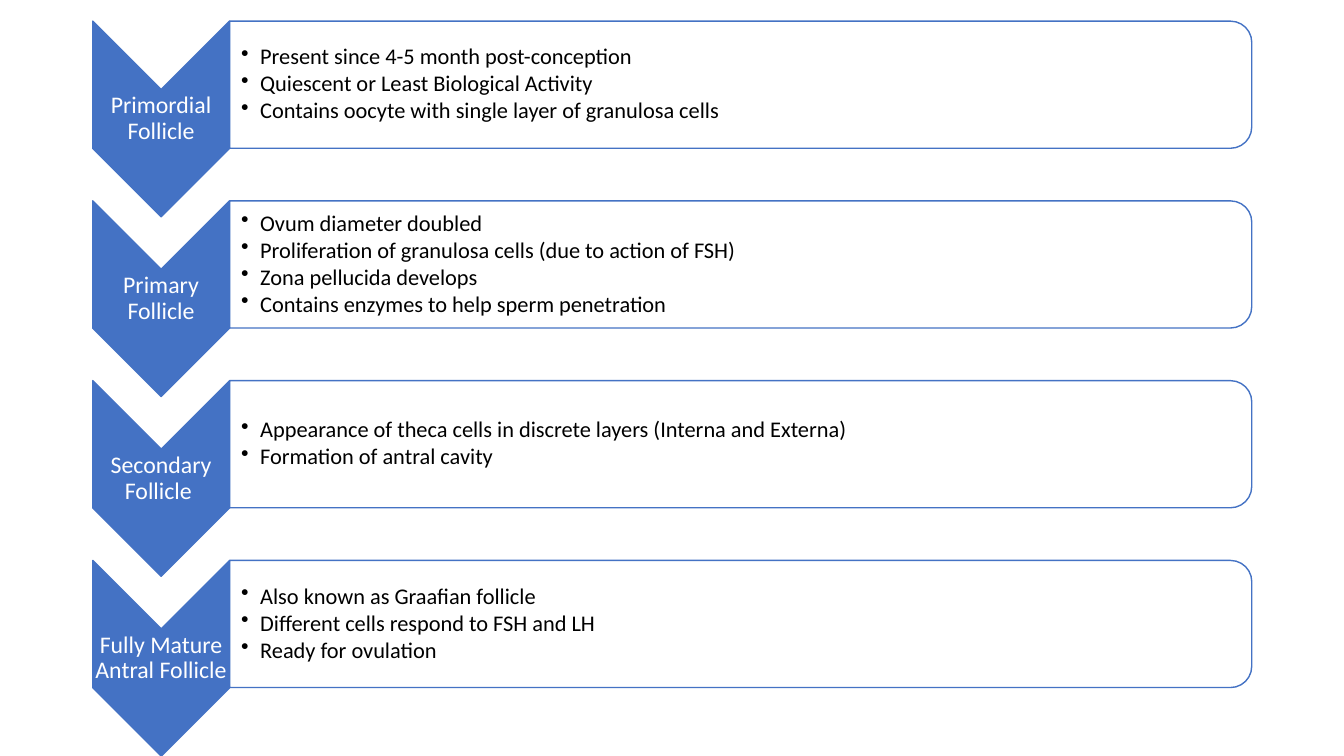
"""Build a slide that lists the four stages of ovarian follicle growth."""
import dataclasses
import typing

import lxml.etree
import pptx
import pptx.dml.color
import pptx.enum.shapes
import pptx.enum.text
import pptx.oxml.ns
import pptx.util

Pt = pptx.util.Pt
SHAPE = pptx.enum.shapes.MSO_SHAPE
ALIGN = pptx.enum.text.PP_ALIGN
COLORS = {"blue": "4472C4", "white": "FFFFFF", "black": "000000"}
FIRST_TOP = 15.1
STAGE_PITCH = 128.4
BULLET_INDENT = 13.7


@dataclasses.dataclass(frozen=True)
class Frame:
    left: float
    top: float
    width: float
    height: float

    def lowered(self, distance: float) -> "Frame":
        return dataclasses.replace(self, top=self.top + distance)

    def turned(self) -> "Frame":
        shift = (self.width - self.height) / 2
        return Frame(self.left + shift, self.top - shift, self.height, self.width)

    def lengths(self) -> list[pptx.util.Length]:
        return [Pt(value) for value in dataclasses.astuple(self)]


@dataclasses.dataclass(frozen=True)
class Stage:
    name: str
    facts: tuple[str, ...]


@dataclasses.dataclass(frozen=True)
class TextStyle:
    size: float
    color: str
    left_inset: float
    paragraph: dict[str, typing.Any]
    bulleted: bool = False


CHEVRON = Frame(66.2, FIRST_TOP, 97.8, 139.8)
PANEL = Frame(164, FIRST_TOP, 730.1, 90.8)
NAME = Frame(66.2, FIRST_TOP + 49, 97.8, 41.8)
FACTS = Frame(163.6, FIRST_TOP + 4.4, 725.8, 82)

NAME_STYLE = TextStyle(17, "white", 0.8, {"alignment": ALIGN.CENTER, "line_spacing": 0.9})
FACT_STYLE = TextStyle(
    16, "black", 8.6,
    {"level": 1, "alignment": ALIGN.LEFT, "line_spacing": 0.9, "space_after": Pt(2)},
    bulleted=True,
)

STAGES = (
    Stage("Primordial Follicle", (
        "Present since 4-5 month post-conception",
        "Quiescent or Least Biological Activity",
        "Contains oocyte with single layer of granulosa cells",
    )),
    Stage("Primary Follicle", (
        "Ovum diameter doubled",
        "Proliferation of granulosa cells (due to action of FSH)",
        "Zona pellucida develops",
        "Contains enzymes to help sperm penetration",
    )),
    Stage("Secondary Follicle ", (
        "Appearance of theca cells in discrete layers (Interna and Externa)",
        "Formation of antral cavity",
    )),
    Stage("Fully Mature Antral Follicle", (
        "Also known as Graafian follicle",
        "Different cells respond to FSH and LH",
        "Ready for ovulation",
    )),
)


def rgb(name: str) -> pptx.dml.color.RGBColor:
    return pptx.dml.color.RGBColor.from_string(COLORS[name])


def set_values(target: typing.Any, values: dict[str, typing.Any]) -> None:
    for name, value in values.items():
        setattr(target, name, value)


def add_turned_shape(shapes: typing.Any, kind: SHAPE, frame: Frame, fill: str) -> typing.Any:
    shape = shapes.add_shape(kind, *frame.turned().lengths())
    shape.rotation = 90
    shape.shadow.inherit = False
    shape.fill.solid()
    shape.fill.fore_color.rgb = rgb(fill)
    shape.line.color.rgb = rgb("blue")
    shape.line.width = Pt(1)
    return shape


def set_opacity(shape: typing.Any, percent: int) -> None:
    color = shape.fill._xPr.find(".//" + pptx.oxml.ns.qn("a:srgbClr"))
    lxml.etree.SubElement(color, pptx.oxml.ns.qn("a:alpha"), val=str(percent * 1000))


def add_bullet(para: typing.Any) -> None:
    properties = para._p.get_or_add_pPr()
    properties.set("marL", str(Pt(BULLET_INDENT)))
    properties.set("indent", str(-Pt(BULLET_INDENT)))
    lxml.etree.SubElement(properties, pptx.oxml.ns.qn("a:buChar"), char="•")


def add_text(shapes: typing.Any, frame: Frame, lines: tuple[str, ...], style: TextStyle) -> None:
    box = shapes.add_textbox(*frame.lengths())
    set_values(box.text_frame, {
        "word_wrap": True,
        "vertical_anchor": pptx.enum.text.MSO_ANCHOR.MIDDLE,
        "margin_left": Pt(style.left_inset),
        "margin_top": Pt(0.8),
        "margin_right": Pt(0.8),
        "margin_bottom": Pt(0.8),
    })
    box.text_frame.text = "\n".join(lines)
    for para in box.text_frame.paragraphs:
        set_values(para, style.paragraph)
        if style.bulleted:
            add_bullet(para)
        for span in para.runs:
            set_values(span.font, {"name": "Calibri", "size": Pt(style.size)})
            span.font.color.rgb = rgb(style.color)


def add_stage(shapes: typing.Any, stage: Stage, drop: float) -> None:
    add_turned_shape(shapes, SHAPE.CHEVRON, CHEVRON.lowered(drop), "blue")
    add_text(shapes, NAME.lowered(drop), (stage.name,), NAME_STYLE)
    panel = add_turned_shape(shapes, SHAPE.ROUND_2_SAME_RECTANGLE, PANEL.lowered(drop), "white")
    set_opacity(panel, 90)
    add_text(shapes, FACTS.lowered(drop), stage.facts, FACT_STYLE)


def main() -> None:
    deck = pptx.Presentation()
    set_values(deck, {"slide_width": Pt(960), "slide_height": Pt(540)})
    slide = deck.slides.add_slide(deck.slide_layouts[6])
    diagram = slide.shapes.add_group_shape()
    for index, stage in enumerate(STAGES):
        add_stage(diagram.shapes, stage, index * STAGE_PITCH)
    deck.save("out.pptx")


if __name__ == "__main__":
    main()
